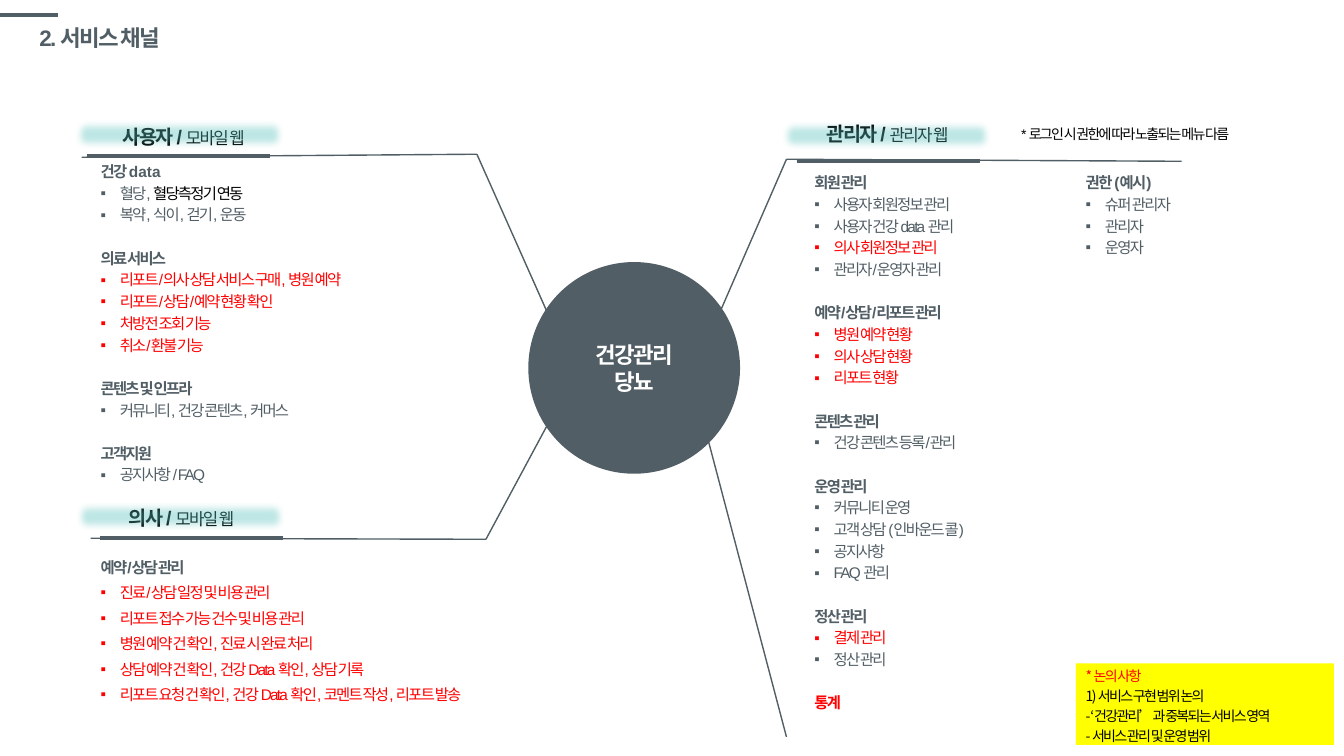
from lxml import etree
from pptx import Presentation
from pptx.dml.color import RGBColor
from pptx.enum.shapes import MSO_CONNECTOR, MSO_SHAPE
from pptx.enum.text import MSO_ANCHOR, PP_ALIGN
from pptx.oxml.ns import qn
from pptx.util import Inches, Pt

STRAIGHT = MSO_CONNECTOR.STRAIGHT
CALLOUT, ROUNDED = MSO_SHAPE.RECTANGULAR_CALLOUT, MSO_SHAPE.ROUNDED_RECTANGLE
CIRCLE, RECTANGLE = MSO_SHAPE.OVAL, MSO_SHAPE.RECTANGLE
TOP, MIDDLE = MSO_ANCHOR.TOP, MSO_ANCHOR.MIDDLE
LEFT, CENTER = PP_ALIGN.LEFT, PP_ALIGN.CENTER
SLATE, RED, BLACK, WHITE = "515E65", "FF0000", "000000", "FFFFFF"
TEAL, YELLOW = "5BC4BE", "FFFF00"
ITEM_GAP, SECTION_GAP = 2.3, 17.7


def color(value):
    return RGBColor.from_string(value)


def items(shade, *texts):
    """Bullets of one colour, each a list of (text, colour) runs."""
    return [[(text, shade)] for text in texts]


USER_SECTIONS = [
    ([("건강 ", SLATE), ("data", SLATE)],
     [[("혈당, ", SLATE), ("혈당측정기 연동", BLACK)]]
     + items(SLATE, "복약, 식이, 걷기, 운동")),
    ([("의료 서비스", SLATE)],
     items(RED, "리포트/의사 상담 서비스 구매, 병원 예약", "리포트/상담/예약 현황 확인",
           "처방전 조회 기능", "취소/환불 기능")),
    ([("콘텐츠 및 인프라", SLATE)], items(SLATE, "커뮤니티, 건강 콘텐츠, 커머스")),
    ([("고객지원", SLATE)], items(SLATE, "공지사항 / FAQ")),
]
DOCTOR_SECTIONS = [
    ([("예약/상담 관리", SLATE)],
     items(RED, "진료/상담 일정 및 비용 관리", "리포트 접수 가능 건수 및 비용 관리",
           "병원 예약 건 확인, 진료 시 완료 처리",
           "상담 예약 건 확인, 건강 Data 확인, 상담 기록",
           "리포트 요청 건 확인, 건강 Data 확인, 코멘트 작성, 리포트 발송")),
]
ADMIN_SECTIONS = [
    ([("회원 관리", SLATE)],
     items(SLATE, "사용자 회원정보 관리", "사용자 건강 data 관리")
     + items(RED, "의사 회원정보 관리") + items(SLATE, "관리자/운영자 관리")),
    ([("예약/상담/리포트 관리", SLATE)],
     items(RED, "병원 예약 현황", "의사 상담 현황", "리포트 현황")),
    ([("콘텐츠 관리", SLATE)], items(SLATE, "건강 콘텐츠 등록/관리")),
    ([("운영 관리", SLATE)],
     items(SLATE, "커뮤니티 운영", "고객 상담 (인바운드 콜)", "공지사항", "FAQ 관리")),
    ([("정산 관리", SLATE)], items(RED, "결제 관리") + items(SLATE, "정산 관리")),
    ([("통계", RED)], []),
]
ROLE_SECTIONS = [
    ([("권한 (예시)", SLATE)], items(SLATE, "슈퍼 관리자", "관리자", "운영자")),
]


def add_span(para, text, size, shade, bold=False, spacing=-1.2, font="Arial"):
    span = para.add_run()
    span.text = text
    span.font.name, span.font.size, span.font.bold = font, Pt(size), bold
    span.font.color.rgb = color(shade)
    span._r.get_or_add_rPr().set("spc", str(round(spacing * 100)))


def next_para(frame):
    """The empty first paragraph if it is still unused, else a new one."""
    first = frame.paragraphs[0]
    return frame.add_paragraph() if first.runs else first


def add_bullet(para):
    props = para._p.get_or_add_pPr()
    props.set("marL", str(Inches(0.19)))
    props.set("indent", str(Inches(-0.19)))
    etree.SubElement(props, qn("a:buFont")).set("typeface", "Arial")
    etree.SubElement(props, qn("a:buChar")).set("char", "▪")


def add_line(slide, points, width=1):
    """Straight connectors through the points."""
    for start, end in zip(points, points[1:]):
        line = slide.shapes.add_connector(
            STRAIGHT, *(Inches(value) for value in start + end))
        line.line.color.rgb, line.line.width = color(SLATE), Pt(width)
        etree.SubElement(line._element.spPr, qn("a:effectLst"))


def add_shape(slide, kind, place, fill=None):
    shape = slide.shapes.add_shape(kind, *(Inches(value) for value in place))
    shape.shadow.inherit = False
    shape.line.fill.background()
    if fill:
        shape.fill.solid()
        shape.fill.fore_color.rgb = color(fill)
    else:
        shape.fill.background()
    return shape


def add_text_box(slide, place, wrap=True):
    box = slide.shapes.add_textbox(*(Inches(value) for value in place))
    box.text_frame.word_wrap = wrap
    return box.text_frame


def write_sections(frame, sections, line_spacing=1.0, spacing=-1.3):
    for heading, bullets in sections:
        for runs in [heading] + bullets:
            is_heading = runs is heading
            is_first = not frame.paragraphs[0].runs
            para = next_para(frame)
            para.alignment = LEFT
            para.line_spacing = line_spacing
            gap = SECTION_GAP if is_heading else ITEM_GAP
            para.space_before = Pt(0 if is_first else gap)
            if not is_heading:
                add_bullet(para)
            for text, shade in runs:
                add_span(para, text, 11, shade, is_heading,
                         0 if text == "data" else spacing)


def add_section_panel(slide, place, sections, line_spacing=1.0):
    panel = add_shape(slide, CALLOUT, place)
    panel.adjustments[0], panel.adjustments[1] = -0.2, -0.41
    panel.text_frame.word_wrap = True
    panel.text_frame.vertical_anchor = TOP
    write_sections(panel.text_frame, sections, line_spacing)


def add_channel_name(slide, place, name, medium, line_spacing):
    para = add_text_box(slide, place).paragraphs[0]
    para.line_spacing = line_spacing
    add_span(para, name + " / ", 14, BLACK, True)
    add_span(para, medium, 12, BLACK)


def add_highlight(slide, left, top):
    """Translucent, soft-edged bar over a channel name."""
    bar = add_shape(slide, ROUNDED, (left, top, 2.08, 0.29), TEAL)
    props = bar._element.spPr
    shade = props.find(qn("a:solidFill")).find(qn("a:srgbClr"))
    etree.SubElement(shade, qn("a:alpha")).set("val", "40000")
    effects = props.find(qn("a:effectLst"))
    etree.SubElement(effects, qn("a:softEdge")).set("rad", str(Pt(5)))


def add_title(slide, text):
    title = slide.shapes.title
    title.left, title.top = Inches(0.29), Inches(0.19)
    title.width, title.height = Inches(11.5), Inches(0.39)
    title.text_frame.vertical_anchor = MIDDLE
    para = title.text_frame.paragraphs[0]
    para.alignment, para.line_spacing = LEFT, 0.9
    add_span(para, text, 16, SLATE, True)


def add_hub(slide, lines):
    hub = add_shape(slide, CIRCLE, (5.24, 2.6, 2.1, 2.1), SLATE)
    hub.text_frame.word_wrap = False
    hub.text_frame.vertical_anchor = MIDDLE
    for text in lines:
        para = next_para(hub.text_frame)
        para.alignment = CENTER
        add_span(para, text, 16, WHITE, True)


def add_discussion_note(slide, lines):
    note = add_shape(slide, RECTANGLE, (10.67, 6.58, 2.56, 0.81), YELLOW)
    note.text_frame.word_wrap = True
    note.text_frame.vertical_anchor = MIDDLE
    for text, shade in lines:
        para = next_para(note.text_frame)
        para.alignment, para.line_spacing = LEFT, 1.2
        add_span(para, text, 10, shade, font="Noto Sans CJK KR")


def main():
    deck = Presentation()
    deck.slide_width, deck.slide_height = Inches(13.33), Inches(7.5)
    slide = deck.slides.add_slide(deck.slide_layouts[5])

    add_line(slide, [(0, 0.15), (0.58, 0.15)], 3)
    add_title(slide, "2. 서비스 채널")
    add_channel_name(slide, (1.12, 1.14, 2.42, 0.38), "사용자", "모바일 웹", 1.2)
    add_channel_name(slide, (8.1, 1.16, 1.71, 0.34), "관리자", "관리자 웹", 1.0)
    add_channel_name(slide, (1.18, 4.92, 2.42, 0.38), "의사", "모바일 웹", 1.2)
    add_section_panel(slide, (0.9, 1.56, 3.61, 3.4), USER_SECTIONS)
    add_section_panel(slide, (0.9, 5.45, 4.09, 1.62), DOCTOR_SECTIONS, 1.2)
    add_section_panel(slide, (7.98, 1.67, 2.46, 5.84), ADMIN_SECTIONS)

    for left, top in [(0.86, 1.55), (0.99, 5.34), (7.9, 1.6)]:
        add_line(slide, [(left, top), (left + 1.82, top)], 3)
    add_line(slide, [(5.54, 3.35), (4.73, 1.53), (0.81, 1.56)])
    add_line(slide, [(5.54, 4.01), (4.82, 5.35), (0.9, 5.34)])
    add_line(slide, [(7.03, 3.35), (7.8, 1.58), (11.72, 1.6)])
    add_line(slide, [(7.03, 4.39), (7.8, 7.31)])
    add_hub(slide, ["건강관리", "당뇨"])
    for left, top in [(0.74, 1.19), (0.75, 4.98), (7.75, 1.2)]:
        add_highlight(slide, left, top)

    login_note = add_text_box(slide, (10.03, 1.2, 2.57, 0.27), wrap=False)
    add_span(login_note.paragraphs[0],
             "* 로그인 시 권한에 따라 노출되는 메뉴 다름", 10, BLACK)
    roles = add_text_box(slide, (10.67, 1.67, 1.12, 0.95), wrap=False)
    write_sections(roles, ROLE_SECTIONS, spacing=-1.2)
    add_discussion_note(slide, [
        ("* 논의 사항", RED), ("1) 서비스 구현 범위 논의", BLACK),
        ("- ‘건강관리’ 과 중복되는 서비스 영역", BLACK),
        ("- 서비스 관리 및 운영 범위", BLACK)])
    deck.save("out.pptx")


if __name__ == "__main__":
    main()
